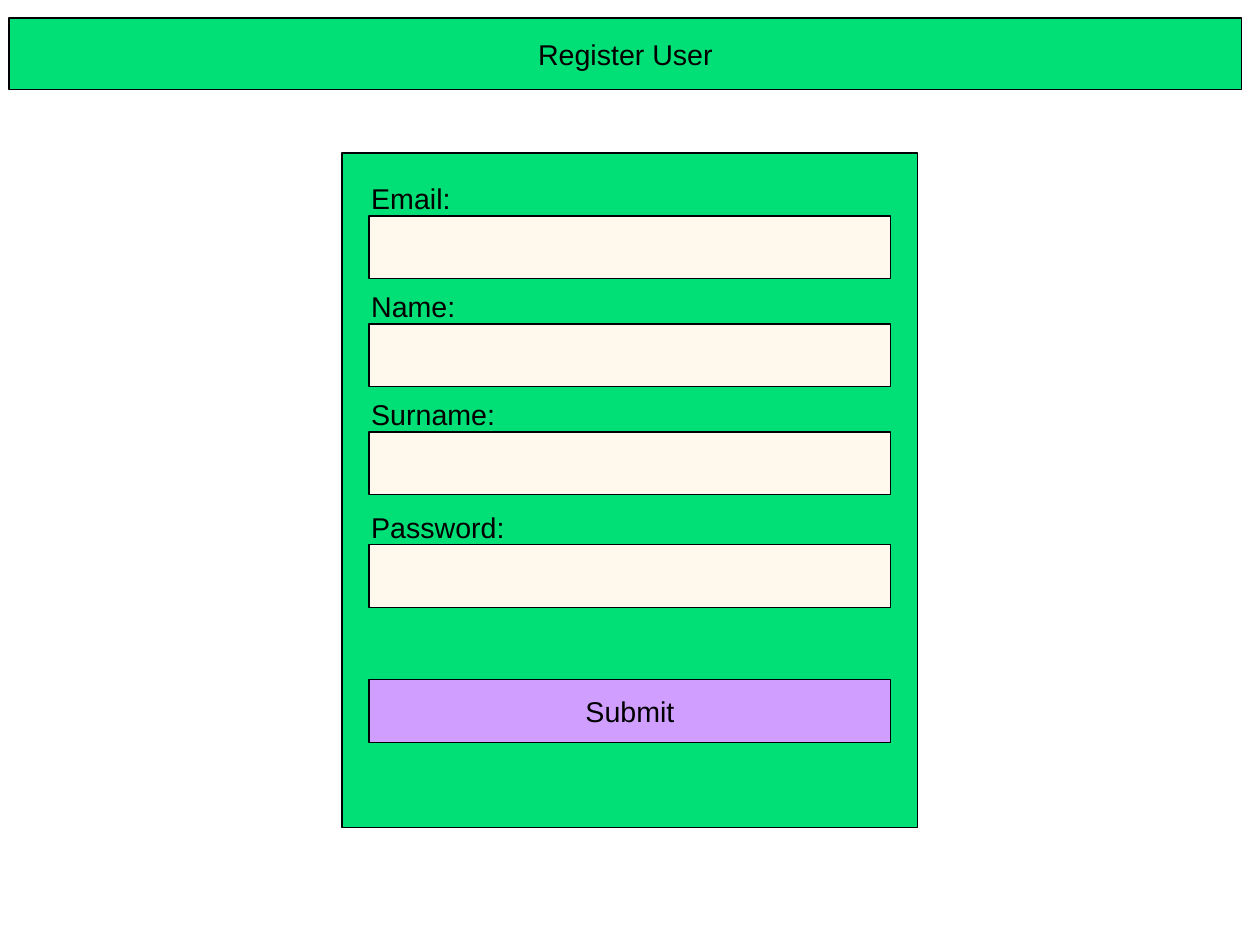
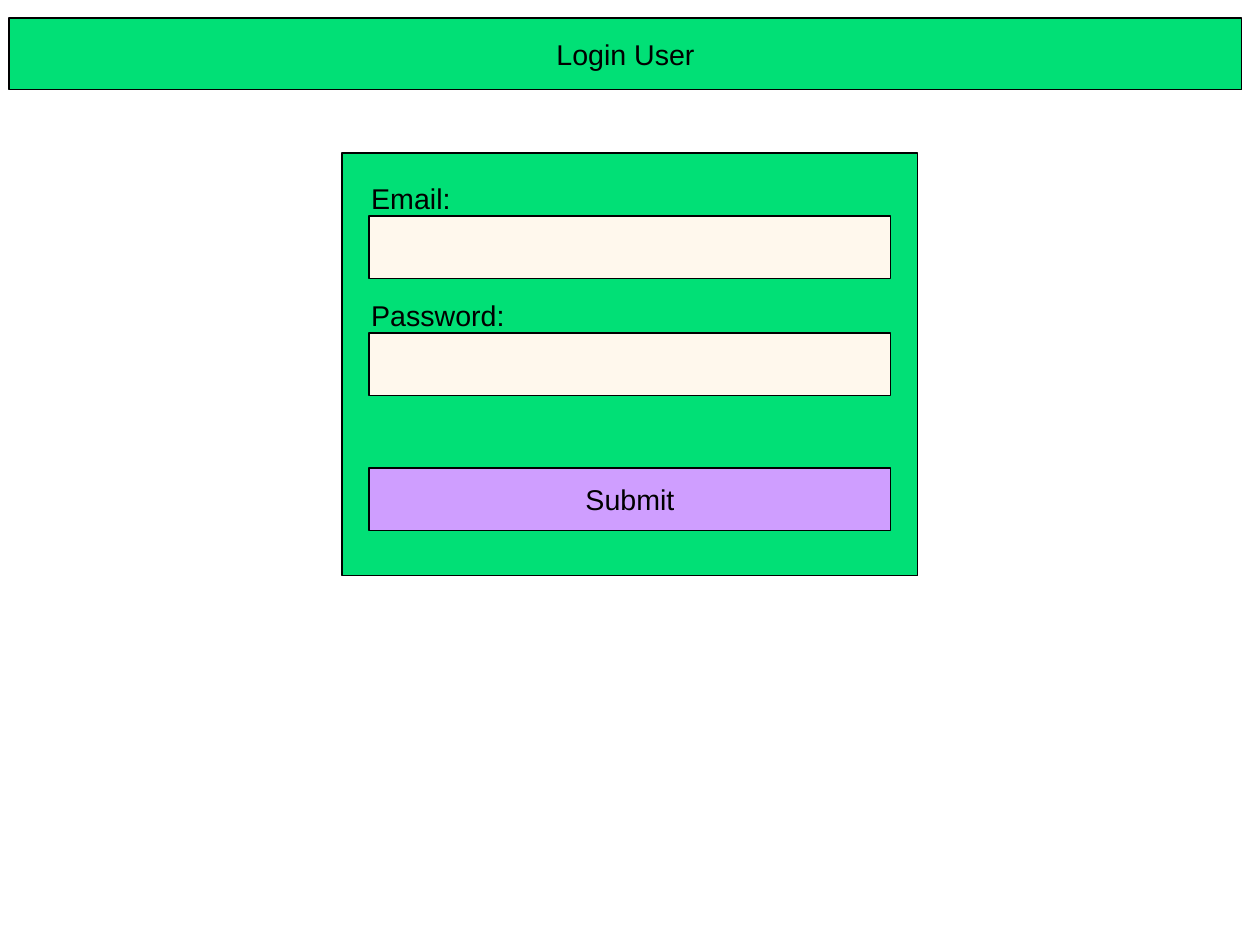
from dataclasses import dataclass

from pptx import Presentation
from pptx.dml.color import RGBColor
from pptx.enum.shapes import MSO_SHAPE
from pptx.enum.text import MSO_ANCHOR, MSO_AUTO_SIZE, PP_ALIGN
from pptx.util import Cm, Pt

FORMS = [
    {
        "title": "Register User",
        "fields": [("Email:", 0), ("Name:", 2.4), ("Surname:", 2.4), ("Password:", 2.5)],
        "button": "Submit",
        "bottom_margin": 1.9,
    },
    {
        "title": "Login User",
        "fields": [("Email:", 0), ("Password:", 2.6)],
        "button": "Submit",
        "bottom_margin": 1,
    },
]
LABEL_WIDTHS = {"Email:": 2.3, "Name:": 2.41, "Surname:": 3.3, "Password:": 3.5}

RECTANGLE = MSO_SHAPE.RECTANGLE
MIDDLE = MSO_ANCHOR.MIDDLE
CENTER = PP_ALIGN.CENTER
LEFT = PP_ALIGN.LEFT
GROW = MSO_AUTO_SIZE.SHAPE_TO_FIT_TEXT


@dataclass(frozen=True)
class Theme:
    font: str = "Arial"
    size: int = 18
    ink: str = "000000"
    panel: str = "01E076"
    field: str = "FFF8ED"
    button: str = "CF9EFF"


THEME = Theme()
SLIDE_WIDTH, SLIDE_HEIGHT = 28, 21
BANNER = (0.2, 0.4, 27.4, 1.6)
PANEL_LEFT, PANEL_TOP, PANEL_WIDTH = 7.6, 3.4, 12.8
FIELD_LEFT, FIELD_WIDTH, FIELD_HEIGHT = 8.2, 11.6, 1.4
FIRST_FIELD_TOP = 4.8
LABEL_LEFT, LABEL_RISE, LABEL_HEIGHT = 8, 0.9, 0.96
BUTTON_STEP = 3


def write(frame, words, align):
    frame.word_wrap = False
    paragraph = frame.paragraphs[0]
    paragraph.text = words
    paragraph.alignment = align
    paragraph.font.name = THEME.font
    paragraph.font.size = Pt(THEME.size)
    paragraph.font.color.rgb = RGBColor.from_string(THEME.ink)


def add_box(slide, area, fill, words=None):
    box = slide.shapes.add_shape(RECTANGLE, *map(Cm, area))
    box.shadow.inherit = False
    box.fill.solid()
    box.fill.fore_color.rgb = RGBColor.from_string(fill)
    box.line.color.rgb = RGBColor.from_string(THEME.ink)
    box.line.width = Pt(0)
    if words:
        box.text_frame.vertical_anchor = MIDDLE
        write(box.text_frame, words, CENTER)


def add_label(slide, words, field_top):
    area = (LABEL_LEFT, field_top - LABEL_RISE, LABEL_WIDTHS[words], LABEL_HEIGHT)
    label = slide.shapes.add_textbox(*map(Cm, area))
    write(label.text_frame, words, LEFT)
    label.text_frame.auto_size = GROW


def add_form(slide, form):
    add_box(slide, BANNER, THEME.panel, form["title"])
    last_field_top = FIRST_FIELD_TOP + sum(step for _, step in form["fields"])
    button_top = last_field_top + BUTTON_STEP
    panel_height = button_top + FIELD_HEIGHT + form["bottom_margin"] - PANEL_TOP
    add_box(slide, (PANEL_LEFT, PANEL_TOP, PANEL_WIDTH, panel_height), THEME.panel)

    field_top = FIRST_FIELD_TOP
    for words, step in form["fields"]:
        field_top += step
        add_box(slide, (FIELD_LEFT, field_top, FIELD_WIDTH, FIELD_HEIGHT), THEME.field)
        add_label(slide, words, field_top)
    add_box(slide, (FIELD_LEFT, button_top, FIELD_WIDTH, FIELD_HEIGHT),
            THEME.button, form["button"])


def main():
    deck = Presentation()
    deck.slide_width, deck.slide_height = Cm(SLIDE_WIDTH), Cm(SLIDE_HEIGHT)
    blank = deck.slide_layouts[6]
    for form in FORMS:
        add_form(deck.slides.add_slide(blank), form)
    deck.save("out.pptx")


if __name__ == "__main__":
    main()
